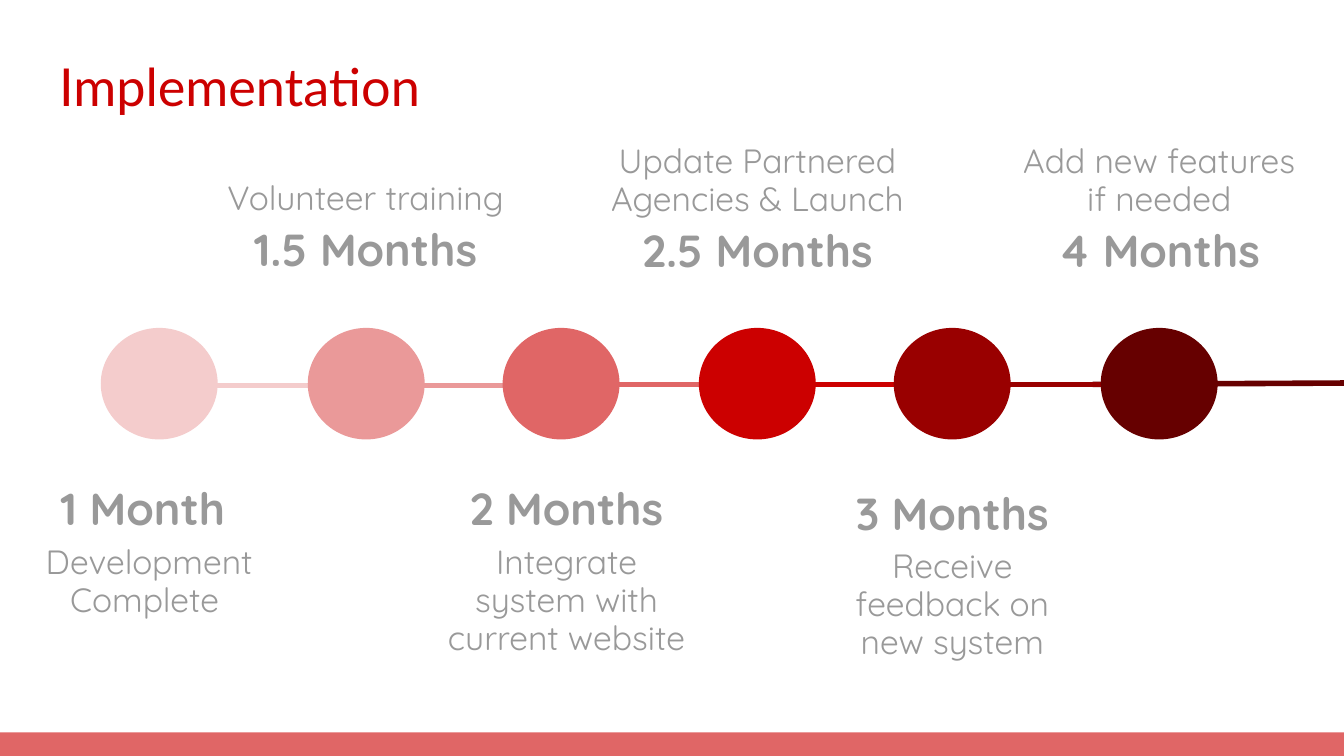
from pptx import Presentation
from pptx.dml.color import RGBColor
from pptx.enum.shapes import MSO_CONNECTOR as Connector, MSO_SHAPE as Shape
from pptx.enum.text import MSO_ANCHOR as Anchor, PP_ALIGN as Align
from pptx.oxml.ns import qn
from pptx.util import Inches, Pt
from lxml.etree import SubElement

GREY = "999999"
RED = "CC0000"
CORAL = "E06666"
SLIDE_WIDTH = 10
SLIDE_HEIGHT = SLIDE_WIDTH * 9 / 16
CIRCLE_TOP, CIRCLE_WIDTH, CIRCLE_HEIGHT = 2.44, 0.87, 0.83

CIRCLES = [
    (0.75, "F4CCCC"),
    (2.29, "EA9999"),
    (3.74, CORAL),
    (5.2, RED),
    (6.65, "990000"),
    (8.19, "660000"),
]
LINES = [
    (8.13, 2.86, 10.01, 2.85, "660000"),
    (6.86, 2.86, 8.2, 2.86, "990000"),
    (5.52, 2.86, 6.86, 2.86, RED),
    (4.35, 2.86, 5.69, 2.86, CORAL),
    (2.95, 2.87, 4.29, 2.87, "EA9999"),
    (1.2, 2.87, 2.54, 2.87, "F4CCCC"),
]
MILESTONES = [
    (-0.08, 3.51, 2.38, 0.96, ["1 Month ", "Development Complete "]),
    (1.53, 1.24, 2.38, 0.96, ["Volunteer training", "1.5 Months"]),
    (3.17, 3.51, 2.09, 0.96, ["2 Months", "Integrate system with current website"]),
    (4.19, 0.96, 2.89, 1.22, ["Update Partnered Agencies & Launch", "2.5 Months"]),
    (6.04, 3.54, 2.09, 0.96, ["3 Months", "Receive feedback on new system"]),
    (7.47, 0.96, 2.31, 0.83, ["Add new features if needed", "4 Months"]),
]


def color(value):
    return RGBColor.from_string(value)


def format_frame(text_frame):
    text_frame.word_wrap = True
    text_frame.vertical_anchor = Anchor.TOP
    text_frame.margin_left = text_frame.margin_right = Inches(0.1)
    text_frame.margin_top = text_frame.margin_bottom = Inches(0.1)


def format_font(paragraph, name, size, value, bold=False):
    for run in paragraph.runs:
        run.font.name = name
        run.font.size = Pt(size)
        run.font.bold = bold
        run.font.color.rgb = color(value)


def set_title(slide, text):
    title = slide.shapes.title
    title.left, title.top = Inches(0.34), Inches(0.3)
    title.width, title.height = Inches(9.32), Inches(0.63)
    format_frame(title.text_frame)
    title.text_frame.text = text
    paragraph = title.text_frame.paragraphs[0]
    paragraph.alignment = Align.LEFT
    format_font(paragraph, "Lato", 28, RED)


def add_line(slide, x1, y1, x2, y2, value):
    line = slide.shapes.add_connector(
        Connector.STRAIGHT, Inches(x1), Inches(y1), Inches(x2), Inches(y2)
    )
    line.line.color.rgb = color(value)
    line.line.width = Pt(3)
    SubElement(line._element.spPr, qn("a:effectLst"))


def add_filled_shape(slide, kind, left, top, width, height, value):
    shape = slide.shapes.add_shape(
        kind, Inches(left), Inches(top), Inches(width), Inches(height)
    )
    shape.shadow.inherit = False
    shape.fill.solid()
    shape.fill.fore_color.rgb = color(value)
    shape.line.fill.background()


def add_milestone(slide, left, top, width, height, texts):
    box = slide.shapes.add_textbox(
        Inches(left), Inches(top), Inches(width), Inches(height)
    )
    format_frame(box.text_frame)
    box.text_frame.text = "\n".join(texts)
    for index, paragraph in enumerate(box.text_frame.paragraphs):
        is_duration = "Month" in paragraph.text
        paragraph.alignment = Align.CENTER
        paragraph.line_spacing = 0.95
        paragraph.space_before = Pt(4 if index else 0)
        format_font(paragraph, "Quicksand", 24 if is_duration else 18, GREY, is_duration)


def main():
    presentation = Presentation()
    presentation.slide_width = Inches(SLIDE_WIDTH)
    presentation.slide_height = Inches(SLIDE_HEIGHT)
    slide = presentation.slides.add_slide(presentation.slide_layouts[5])
    set_title(slide, "Implementation")
    for line in LINES:
        add_line(slide, *line)
    for left, value in CIRCLES:
        add_filled_shape(
            slide, Shape.OVAL, left, CIRCLE_TOP, CIRCLE_WIDTH, CIRCLE_HEIGHT, value
        )
    for milestone in MILESTONES:
        add_milestone(slide, *milestone)
    add_filled_shape(slide, Shape.RECTANGLE, 0, 5.45, SLIDE_WIDTH, 0.18, CORAL)
    presentation.save("out.pptx")


if __name__ == "__main__":
    main()
